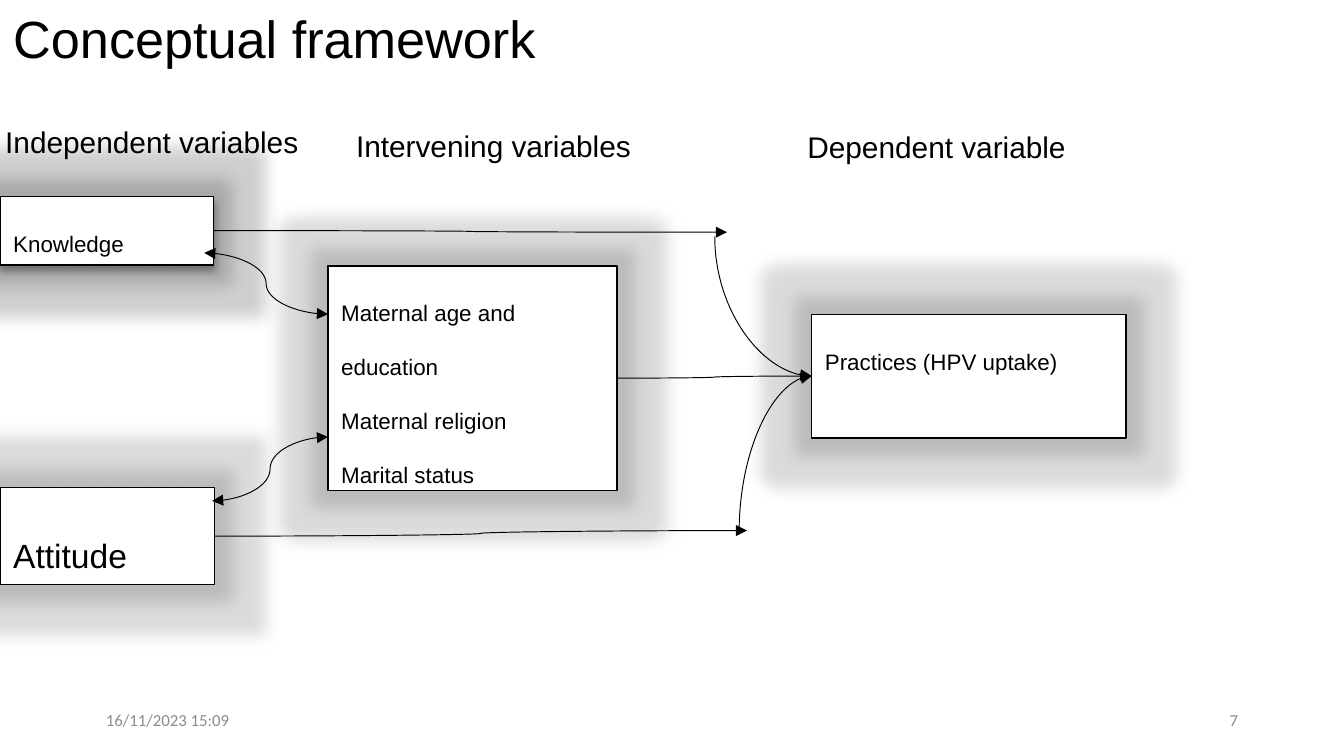
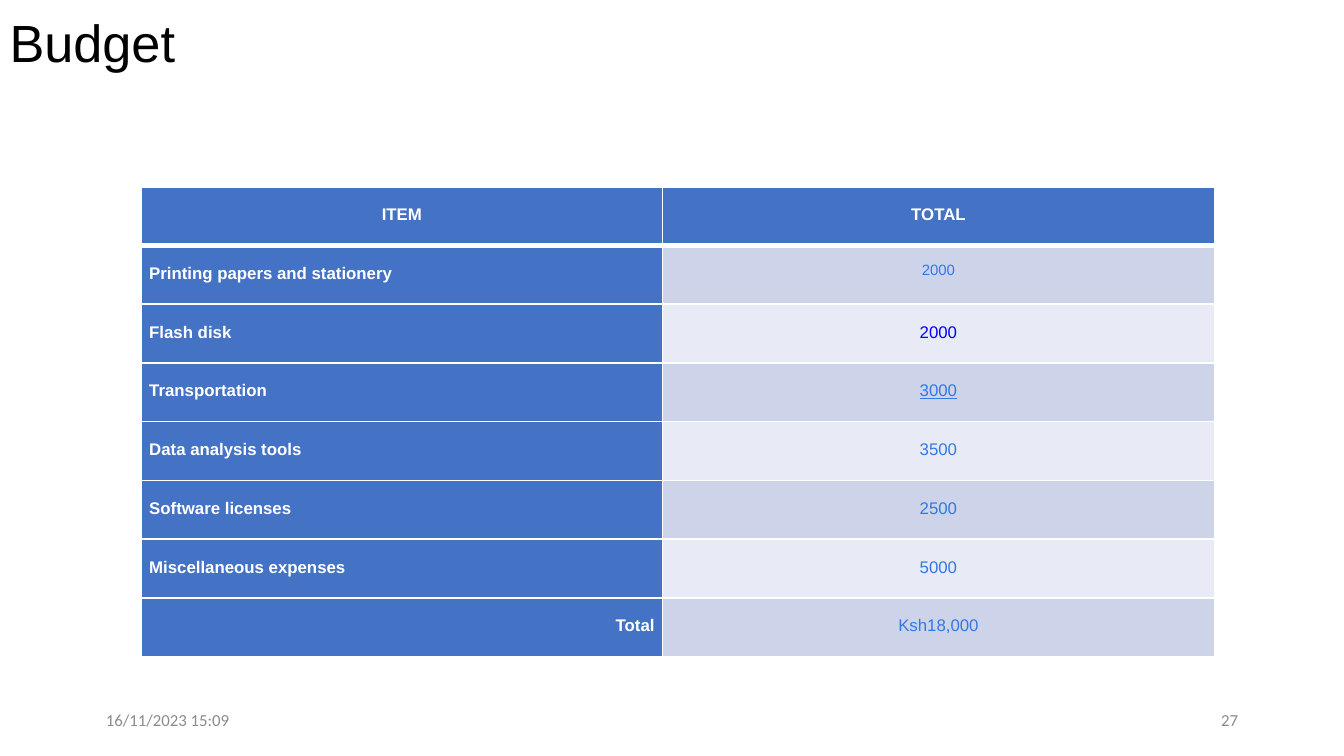
from lxml import etree
from pptx import Presentation
from pptx.dml import color
from pptx.enum import shapes, text
from pptx.oxml import ns
from pptx.util import Cm, Pt

COLORS = {
    "ink": "000000",
    "paper": "FFFFFF",
    "footer": "8C8C8C",
    "blue": "4472C4",
    "band": "CDD4EA",
    "light": "E8EBF5",
    "amount": "3278E6",
    "strong": "0000FF",
}
LEFT, CENTER, RIGHT = text.PP_ALIGN.LEFT, text.PP_ALIGN.CENTER, text.PP_ALIGN.RIGHT
DATE = "16/11/2023 15:09"

HEADINGS = [
    ("Independent variables", (-0.15, 2.21, 6.6, 0.94)),
    ("Intervening variables", (6.48, 2.29, 6.45, 0.94)),
    ("Dependent variable", (15.01, 2.31, 6.3, 0.94)),
]
BOXES = {
    "knowledge": (["Knowledge"], 12, (0, 3.71, 4.04, 1.3)),
    "attitude": (["Attitude"], 18, (0, 9.22, 4.06, 1.83)),
    "mother": (
        ["Maternal age and education", "Maternal religion", "Marital status"],
        12,
        (6.2, 5.03, 5.46, 4.24),
    ),
    "practices": (["Practices (HPV uptake)"], 12, (15.34, 5.94, 5.94, 2.34)),
}
SHADOWED = "knowledge"
ARROWS = [
    ((3.86, 4.78), (6.2, 5.94), "both", "curvedConnector3"),
    ((4.01, 9.47), (6.2, 8.26), "both", "curvedConnector3"),
    (("mother", RIGHT), ("practices", LEFT), "tail", "curvedConnector3"),
    (("knowledge", RIGHT), (13.74, 4.39), "tail", "curvedConnector3"),
    (("attitude", RIGHT), (14.12, 10.03), "tail", "curvedConnector3"),
    (("practices", LEFT), (13.51, 4.47), "head", "curvedConnector2"),
    (("practices", LEFT), (13.97, 10.08), "head", "curvedConnector2"),
]

BUDGET = [
    ("ITEM", "TOTAL"),
    ("Printing papers and stationery", "2000"),
    ("Flash disk", "2000"),
    ("Transportation", "3000"),
    ("Data analysis tools", "3500"),
    ("Software licenses", "2500"),
    ("Miscellaneous expenses", "5000"),
    ("Total", "Ksh18,000"),
]
AMOUNT_STYLES = {1: {"size": 8}, 2: {"name": "strong"}, 3: {"underline": True}}
COLUMN_WIDTHS = (9.85, 10.43)
ROW_HEIGHT = 1.11


def rgb(name):
    return color.RGBColor.from_string(COLORS[name])


def element(parent, tag, **attributes):
    return etree.SubElement(parent, ns.qn(tag), attributes)


def black(parent, alpha):
    fill = element(parent, "a:srgbClr", val=COLORS["ink"])
    element(fill, "a:alpha", val=str(alpha * 1000))


def write(paragraph, words, size, name="ink", font="Arial", align=LEFT,
          spacing=1.0, bold=False, underline=False):
    paragraph.alignment = align
    paragraph.line_spacing = spacing
    run = paragraph.add_run()
    run.text = words
    run.font.size = Pt(size)
    run.font.name = font
    run.font.bold = bold
    run.font.underline = underline
    run.font.color.rgb = rgb(name)


def add_text(slide, area, words, size, **style):
    shape = slide.shapes.add_textbox(*map(Cm, area))
    frame = shape.text_frame
    frame.word_wrap = True
    write(frame.paragraphs[0], words, size, **style)
    return frame


def add_slide(presentation, title, title_height, number, side_inset=0.25):
    slide = presentation.slides.add_slide(presentation.slide_layouts[5])
    shape = slide.shapes.title
    shape.left, shape.top = Cm(0), Cm(0)
    shape.width, shape.height = presentation.slide_width, Cm(title_height)
    frame = shape.text_frame
    frame.auto_size = text.MSO_AUTO_SIZE.NONE
    frame.vertical_anchor = text.MSO_ANCHOR.MIDDLE
    frame.margin_left = frame.margin_right = Cm(side_inset)
    write(frame.paragraphs[0], title, 28, spacing=0.9)
    for left, words, align in ((1.75, DATE, LEFT), (17.93, str(number), RIGHT)):
        footer = add_text(slide, (left, 13.23, 5.72, 0.76), words, 9,
                          name="footer", font="Calibri", align=align)
        footer.vertical_anchor = text.MSO_ANCHOR.MIDDLE
    return slide


def add_box(slide, lines, size, area, shadowed):
    shape = slide.shapes.add_shape(shapes.MSO_SHAPE.RECTANGLE, *map(Cm, area))
    shape.shadow.inherit = False
    shape.fill.solid()
    shape.fill.fore_color.rgb = rgb("paper")
    shape.line.color.rgb = rgb("ink")
    shape.line.width = Pt(0.75)
    effects = shape._element.spPr.find(ns.qn("a:effectLst"))
    black(element(effects, "a:glow", rad=str(Pt(18))), 14)
    if shadowed:
        shadow = element(effects, "a:outerShdw", blurRad=str(Pt(4)), dist=str(Pt(3)),
                         dir="5400000", rotWithShape="0")
        black(shadow, 40)
    frame = shape.text_frame
    frame.word_wrap = True
    frame.vertical_anchor = text.MSO_ANCHOR.TOP
    for index, line in enumerate(lines):
        paragraph = frame.add_paragraph() if index else frame.paragraphs[0]
        write(paragraph, line, size, spacing=2.0)


def locate(point):
    if point[0] not in BOXES:
        return point
    left, top, width, height = BOXES[point[0]][2]
    return left + (width if point[1] == RIGHT else 0), top + height / 2


def add_arrow(slide, start, end, heads, preset):
    points = [Cm(value) for value in (*locate(start), *locate(end))]
    connector = slide.shapes.add_connector(shapes.MSO_CONNECTOR.CURVE, *points)
    connector.line.color.rgb = rgb("ink")
    connector.line.width = Pt(0.5)
    properties = connector._element.spPr
    properties.find(ns.qn("a:prstGeom")).set("prst", preset)
    line = properties.find(ns.qn("a:ln"))
    for end_name in ("head", "tail"):
        if heads in (end_name, "both"):
            element(line, f"a:{end_name}End", type="triangle")
    element(properties, "a:effectLst")


def add_borders(cell, row):
    properties = cell._tc.get_or_add_tcPr()
    thick = {"T": row == 1, "B": row == 0}
    for side in "LRTB":
        width = Pt(3 if thick.get(side) else 1)
        line = element(properties, f"a:ln{side}", w=str(width))
        element(element(line, "a:solidFill"), "a:srgbClr", val=COLORS["paper"])


def add_cell(cell, words, row, column):
    add_borders(cell, row)
    cell.margin_left = cell.margin_right = Cm(0.15)
    cell.margin_top = cell.margin_bottom = Cm(0)
    label = row == 0 or column == 0
    style = {"size": 9, "name": "paper" if label else "amount", "bold": label}
    style["align"] = CENTER if row == 0 or column else LEFT
    if column:
        style.update(AMOUNT_STYLES.get(row, {}))
    elif row == len(BUDGET) - 1:
        style["align"] = RIGHT
    cell.fill.solid()
    cell.fill.fore_color.rgb = rgb("blue" if label else "band" if row % 2 else "light")
    write(cell.text_frame.paragraphs[0], words, spacing=2.0, **style)


def build_framework(presentation):
    slide = add_slide(presentation, "Conceptual framework", 1.57, 7)
    for key, (lines, size, area) in BOXES.items():
        add_box(slide, lines, size, area, key == SHADOWED)
    for arrow in ARROWS:
        add_arrow(slide, *arrow)
    for words, area in HEADINGS:
        frame = add_text(slide, area, words, 16)
        frame.auto_size = text.MSO_AUTO_SIZE.SHAPE_TO_FIT_TEXT


def build_budget(presentation):
    slide = add_slide(presentation, "Budget", 1.73, 27, side_inset=0.18)
    size = Cm(sum(COLUMN_WIDTHS)), Cm(ROW_HEIGHT * len(BUDGET))
    table = slide.shapes.add_table(len(BUDGET), 2, Cm(2.67), Cm(3.53), *size).table
    for column, width in zip(table.columns, COLUMN_WIDTHS):
        column.width = Cm(width)
    for row, values in enumerate(BUDGET):
        table.rows[row].height = Cm(ROW_HEIGHT)
        for column, words in enumerate(values):
            add_cell(table.cell(row, column), words, row, column)


def main():
    presentation = Presentation()
    presentation.slide_width, presentation.slide_height = Cm(25.4), Cm(14.29)
    build_framework(presentation)
    build_budget(presentation)
    presentation.save("out.pptx")


if __name__ == "__main__":
    main()
